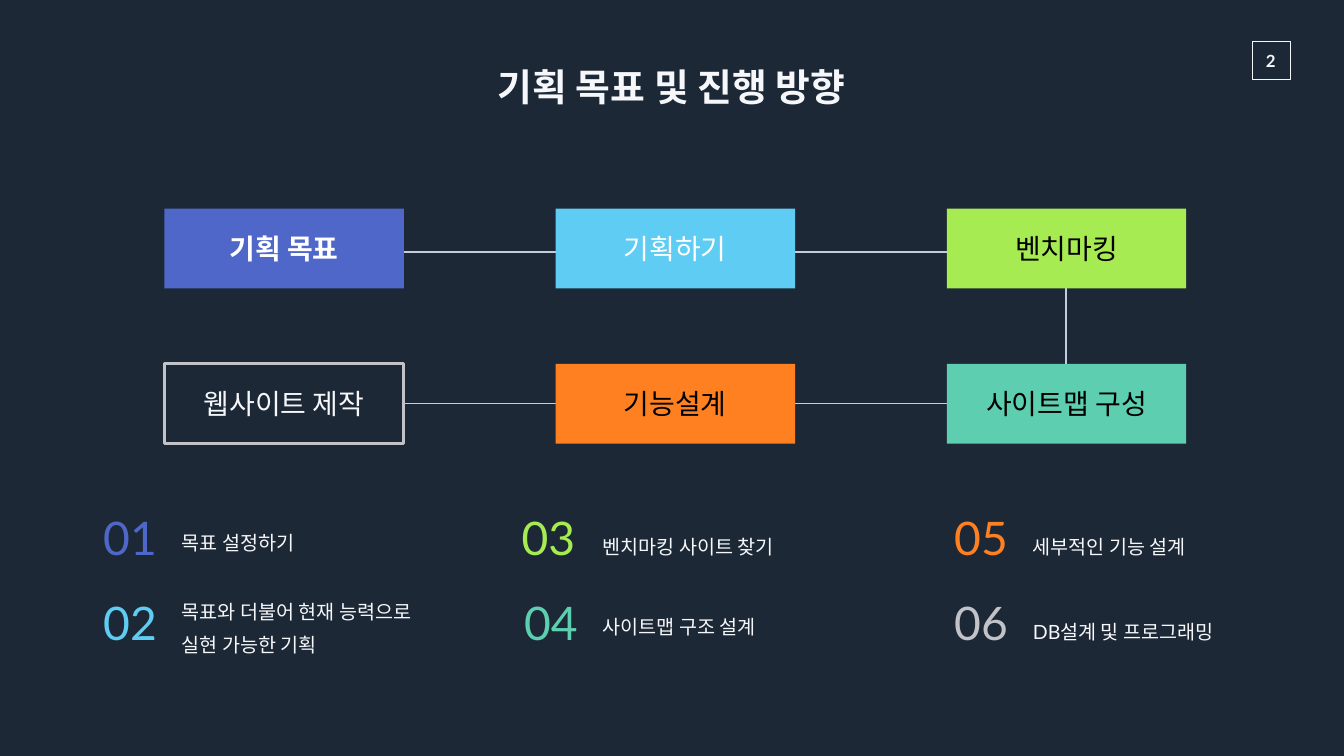
from pptx import Presentation
from pptx.dml.color import RGBColor
from pptx.enum.shapes import MSO_SHAPE
from pptx.enum.text import MSO_ANCHOR, MSO_AUTO_SIZE, PP_ALIGN
from pptx.util import Inches, Pt

COLORS = {
    "navy": "1C2835", "white": "FFFFFF", "offwhite": "F6F7FA", "black": "000000",
    "line": "C6CCDF", "gray": "C1C3C9", "blue": "4E67C8", "sky": "5ECCF3",
    "lime": "A7EB52", "teal": "5DCEAF", "orange": "FF8021",
}


def rgb(name):
    return RGBColor.from_string(COLORS[name])


def write(sp, text, size, color, align=PP_ALIGN.CENTER, anchor=MSO_ANCHOR.MIDDLE,
          inset=(0, 0), bold=False, font="Lato", wrap=True, fit=MSO_AUTO_SIZE.NONE):
    tf = sp.text_frame
    tf.word_wrap, tf.auto_size, tf.vertical_anchor = wrap, fit, anchor
    tf.margin_left = tf.margin_right = Inches(inset[0])
    tf.margin_top = tf.margin_bottom = Inches(inset[1])
    p = tf.paragraphs[0]
    p.text, p.alignment = text, align
    p.font.name, p.font.size, p.font.bold = font, Pt(size), bold
    p.font.color.rgb = rgb(color)
    return p


prs = Presentation()
prs.slide_width, prs.slide_height = Inches(26.66), Inches(15)
s = prs.slides.add_slide(prs.slide_layouts[5])
s.background.fill.solid()
s.background.fill.fore_color.rgb = rgb("navy")

# Title
title = s.shapes.title
title.left, title.top = Inches(9.11), Inches(1.12)
title.width, title.height = Inches(8.42), Inches(1.18)
write(title, "기획 목표 및 진행 방향", 54, "offwhite", inset=(0.27, 0.13),
      bold=True, font="Montserrat", wrap=False, fit=MSO_AUTO_SIZE.SHAPE_TO_FIT_TEXT)

# Page number in its frame
frame = s.shapes.add_shape(MSO_SHAPE.RECTANGLE, Inches(24.84), Inches(0.82),
                           Inches(0.75), Inches(0.75))
frame.shadow.inherit = False
frame.fill.background()
frame.line.color.rgb = rgb("offwhite")
frame.line.width = Pt(1)
number = s.shapes.add_textbox(Inches(24.8), Inches(0.9), Inches(0.81), Inches(0.61))
write(number, "2", 24, "offwhite", anchor=MSO_ANCHOR.TOP, inset=(0.2, 0.1), bold=True,
      wrap=False, fit=MSO_AUTO_SIZE.SHAPE_TO_FIT_TEXT)

# Flow line running behind the boxes
builder = s.shapes.build_freeform(Inches(5.79), Inches(5))
builder.add_line_segments([(Inches(x), Inches(y)) for x, y in
                           [(21.15, 5), (21.15, 8.01), (5.57, 8.01)]], close=False)
flow = builder.convert_to_shape()
flow.shadow.inherit = False
flow.fill.background()
flow.line.color.rgb = rgb("line")
flow.line.width = Pt(2.25)

# Step boxes: column, row, text, fill, text colour
LEFT, TOP, COL, ROW = 3.26, 4.14, 7.76, 3.08
steps = [
    (0, 0, "기획 목표", "blue", "white"),
    (1, 0, "기획하기", "sky", "white"),
    (2, 0, "벤치마킹", "lime", "black"),
    (2, 1, "사이트맵 구성", "teal", "black"),
    (1, 1, "기능설계", "orange", "black"),
    (0, 1, "웹사이트 제작", "navy", "offwhite"),
]
for i, (col, row, text, fill, color) in enumerate(steps):
    sp = s.shapes.add_shape(MSO_SHAPE.ROUNDED_RECTANGLE, Inches(LEFT + col * COL),
                            Inches(TOP + row * ROW), Inches(4.75), Inches(1.58))
    sp.adjustments[0] = 0
    sp.shadow.inherit = False
    sp.fill.solid()
    sp.fill.fore_color.rgb = rgb(fill)
    if fill == "navy":
        sp.line.color.rgb = rgb("gray")
        sp.line.width = Pt(4.5)
    else:
        sp.line.fill.background()
    write(sp, text, 40, color, bold=i == 0)

# Numbered goals, two per column: number left, text left, text top, colour, text
goals = [
    (1.38, 3.41, 10.25, "blue", "목표 설정하기"),
    (1.38, 3.41, 11.62, "sky", "목표와 더불어 현재 능력으로 실현 가능한 기획"),
    (9.68, 11.76, 10.33, "lime", "벤치마킹 사이트 찾기"),
    (9.73, 11.76, 11.92, "teal", "사이트맵 구조 설계"),
    (18.26, 20.29, 10.33, "orange", "세부적인 기능 설계"),
    (18.26, 20.29, 12.01, "gray", "DB설계 및 프로그래밍"),
]
for i, (num_left, left, top, color, text) in enumerate(goals):
    num = s.shapes.add_textbox(Inches(num_left), Inches(9.55 + i % 2 * 1.69),
                               Inches(2.4), Inches(2.22))
    write(num, f"{i + 1:02}", 66, color)
    height = 1.52 if i == 1 else 0.86
    label = s.shapes.add_textbox(Inches(left), Inches(top), Inches(5.03), Inches(height))
    p = write(label, text, 28, "offwhite", align=PP_ALIGN.LEFT, anchor=MSO_ANCHOR.TOP,
              inset=(0.2, 0.1), fit=MSO_AUTO_SIZE.SHAPE_TO_FIT_TEXT)
    p.line_spacing = 1.4

prs.save("out.pptx")
